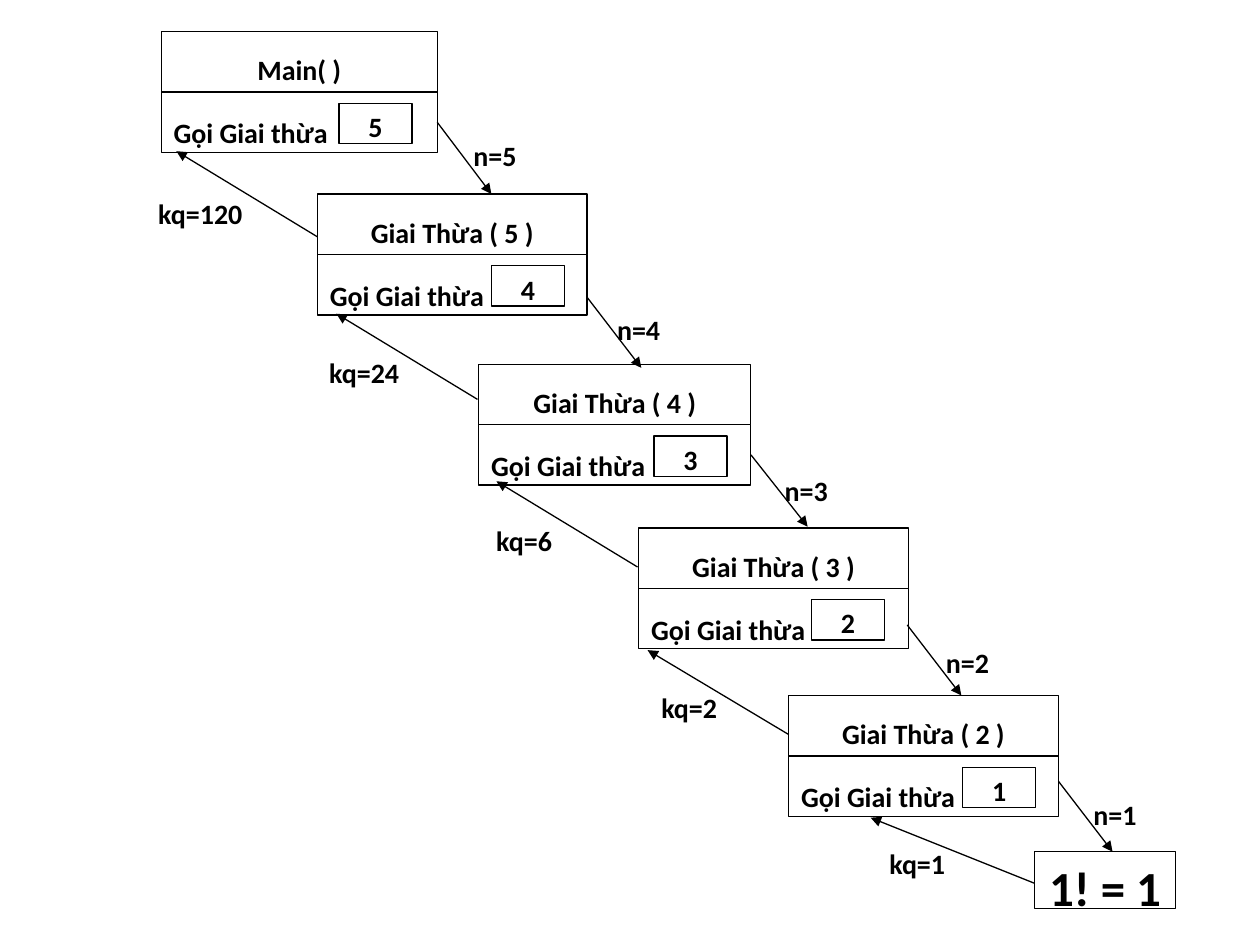
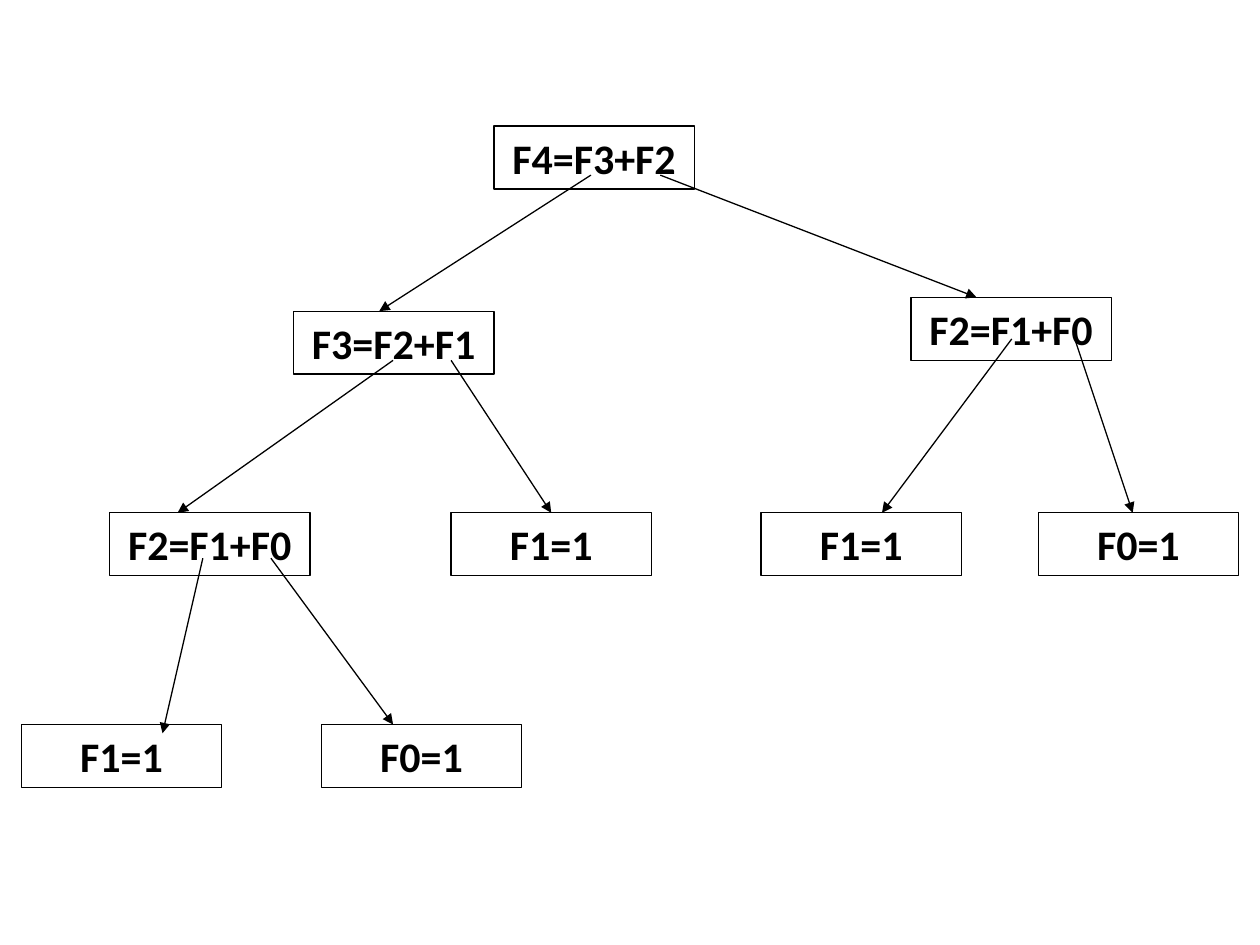
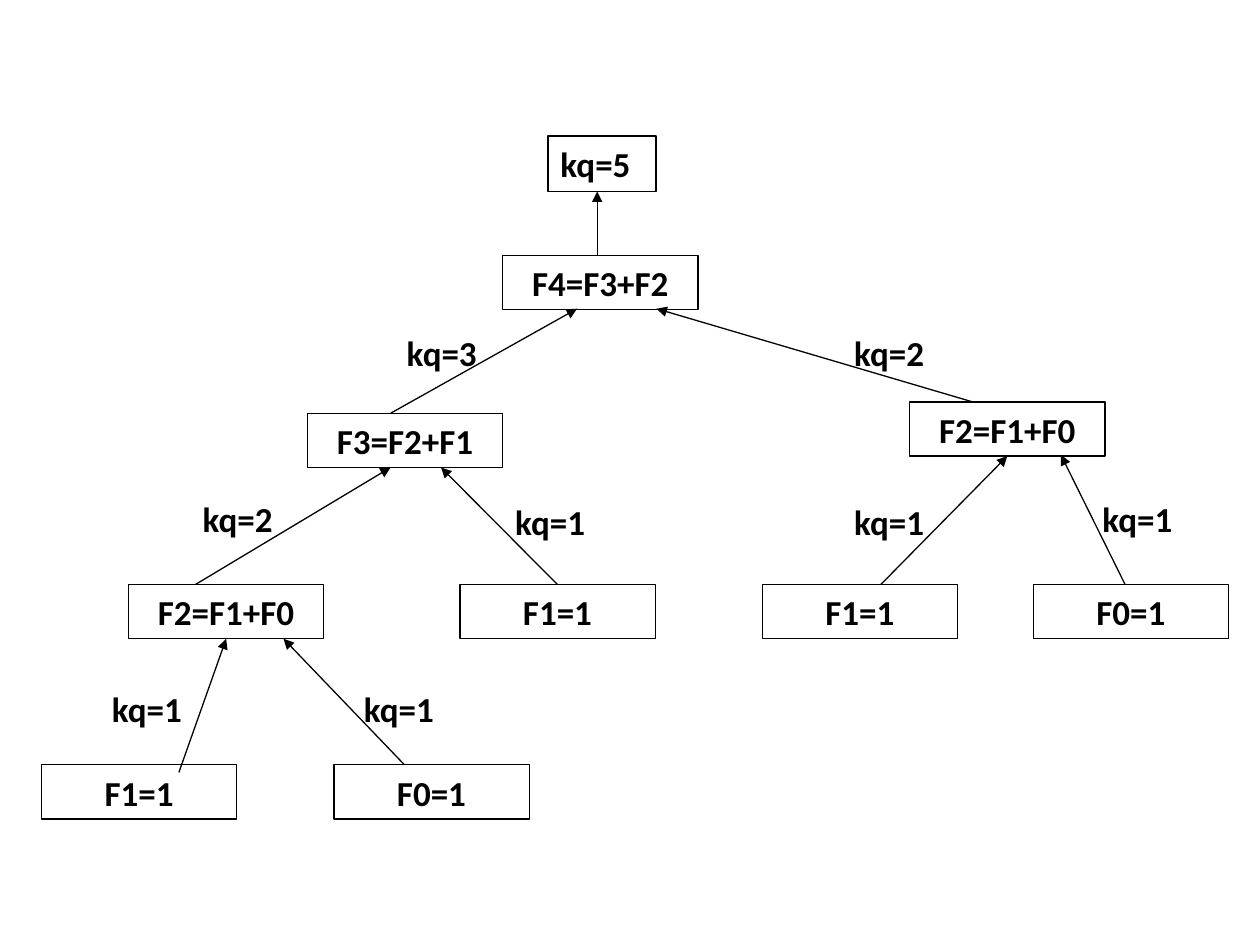
from lxml import etree
from pptx import Presentation
from pptx import util as u
from pptx.dml.color import RGBColor
from pptx.enum import shapes, text
from pptx.oxml import ns

FONT = "Calibri"
INK, PAPER = "000000", "FFFFFF"
CENTER, LEFT = text.PP_ALIGN.CENTER, text.PP_ALIGN.LEFT

# Recursion frames: left, top, width, caption, argument, argument left
FRAMES = [
    (1.28, 0.25, 2.19, "Main( )", "5", 2.69),
    (2.52, 1.54, 2.14, "Giai Thừa ( 5 )", "4", 3.9),
    (3.8, 2.89, 2.16, "Giai Thừa ( 4 )", "3", 5.19),
    (5.07, 4.19, 2.14, "Giai Thừa ( 3 )", "2", 6.44),
    (6.26, 5.52, 2.14, "Giai Thừa ( 2 )", "1", 7.64),
]
FRAME_ROW = 0.48
# Calls and returns: label, label position, arrow start
CALLS = [
    ("n=5", (3.66, 1.05), (3.47, 0.98)),
    ("n=4", (4.8, 2.43), (4.66, 2.36)),
    ("n=3", (6.13, 3.71), (5.98, 3.62)),
    ("n=2", (7.41, 5.07), (7.2, 4.96)),
    ("n=1", (8.58, 6.28), (8.4, 6.2)),
]
RETURNS = [
    ("kq=120", (0.92, 1.51), (2.52, 1.88), (1.4, 1.2)),
    ("kq=24", (2.22, 2.77), (3.79, 3.17), (2.67, 2.49)),
    ("kq=6", (3.49, 4.11), (5.06, 4.5), (3.94, 3.82)),
    ("kq=2", (4.8, 5.43), (6.26, 5.83), (5.14, 5.16)),
    ("kq=1", (6.61, 6.67), (8.21, 7.01), (6.91, 6.49)),
]

# Fibonacci tree, level by level; both trees use these captions
TREE = ["F4=F3+F2", "F3=F2+F1", "F2=F1+F0", "F2=F1+F0", "F1=1",
        "F1=1", "F0=1", "F1=1", "F0=1"]
DOWN_LEFTS = [3.92, 2.33, 7.23, 0.87, 3.58, 6.04, 8.24, 0.17, 2.55]
DOWN_TOPS = [1, 2.47, 2.36] + [4.07] * 4 + [5.75] * 2
DOWN_EDGES = [  # parent end, child end
    ((4.69, 1.39), (3.01, 2.47)), ((5.24, 1.39), (7.75, 2.36)),
    ((3.12, 2.86), (1.41, 4.07)), ((3.58, 2.86), (4.38, 4.07)),
    ((8.03, 2.69), (7, 4.07)), ((8.53, 2.69), (8.99, 4.07)),
    ((1.61, 4.43), (1.29, 5.82)), ((2.15, 4.43), (3.12, 5.75)),
]
UP_LEFTS = [3.99, 2.44, 7.22, 1.02, 3.65, 6.05, 8.2, 0.33, 2.65]
UP_TOPS = [2.03, 3.28, 3.19] + [4.64] * 4 + [6.07] * 2
UP_EDGES = [  # child end, parent end
    ((3.1, 3.28), (4.58, 2.45)), ((7.72, 3.19), (5.21, 2.45)),
    ((1.55, 4.64), (3.1, 3.71)), ((4.44, 4.64), (3.5, 3.71)),
    ((6.99, 4.64), (8, 3.61)), ((8.93, 4.64), (8.42, 3.61)),
    ((1.42, 6.13), (1.8, 5.07)), ((3.21, 6.07), (2.25, 5.07)),
    ((4.74, 2.03), (4.74, 1.52)),
]
UP_RESULTS = [
    ("kq=1", 0.79, 5.41), ("kq=1", 2.79, 5.41), ("kq=1", 3.99, 3.92),
    ("kq=2", 1.51, 3.9), ("kq=1", 8.65, 3.9), ("kq=1", 6.68, 3.92),
    ("kq=2", 6.68, 2.58), ("kq=3", 3.13, 2.58),
]


def color(value):
    return RGBColor.from_string(value)


def inches(*values):
    return [u.Inches(v) for v in values]


def write(sp, caption, size, align, after=0, inset=0.05):
    """Put one bold paragraph at the top of a shape."""
    tf = sp.text_frame
    tf.word_wrap = True
    tf.vertical_anchor = text.MSO_ANCHOR.TOP
    tf.margin_top = u.Inches(inset)
    p = tf.paragraphs[0]
    p.text = caption
    p.alignment = align
    p.space_after = u.Pt(after)
    p.font.name, p.font.size, p.font.bold = FONT, u.Pt(size), True
    p.font.color.rgb = color(INK)


def box(s, at, caption, size, align=CENTER, after=0, inset=0.05,
        filled=True, weight=0.75):
    sp = s.shapes.add_shape(shapes.MSO_SHAPE.RECTANGLE, *inches(*at))
    sp.shadow.inherit = False
    if filled:
        sp.fill.solid()
        sp.fill.fore_color.rgb = color(PAPER)
    else:
        sp.fill.background()
    sp.line.color.rgb = color(INK)
    sp.line.width = u.Pt(weight)
    write(sp, caption, size, align, after, inset)
    return sp


def label(s, at, caption, size, align=LEFT, after=0):
    write(s.shapes.add_textbox(*inches(*at)), caption, size, align, after)


def join(connect, point, boxes):
    """Join a connector end to a box whose side has its middle there."""
    x, y = inches(*point)
    near = u.Inches(0.02)
    for b in boxes:
        mid_x, mid_y = b.left + b.width // 2, b.top + b.height // 2
        sides = [(mid_x, b.top), (b.left, mid_y),
                 (mid_x, b.top + b.height), (b.left + b.width, mid_y)]
        for site, (side_x, side_y) in enumerate(sides):
            if abs(side_x - x) <= near and abs(side_y - y) <= near:
                connect(b, site)
                return


def arrow(s, start, end, boxes):
    line = s.shapes.add_connector(shapes.MSO_CONNECTOR.STRAIGHT,
                                  *inches(*start, *end))
    line.line.color.rgb = color(INK)
    line.line.width = u.Pt(0.75)
    etree.SubElement(line.line._get_or_add_ln(), ns.qn("a:tailEnd"), type="triangle")
    etree.SubElement(line._element.spPr, ns.qn("a:effectLst"))
    join(line.begin_connect, start, boxes)
    join(line.end_connect, end, boxes)


def frame(s, left, top, width, caption, argument, argument_left):
    """Draw a function's heading, its recursive call and the argument."""
    call_top = top + FRAME_ROW
    return [
        box(s, (left, top, width, FRAME_ROW), caption, 16, inset=0.17),
        box(s, (left, call_top, width, FRAME_ROW), "Gọi Giai thừa", 16,
            LEFT, inset=0.19),
        box(s, (argument_left, top + 0.57, 0.58, 0.32), argument, 16),
    ]


def tree(s, lefts, tops, node_size, font_size, edges):
    boxes = [box(s, (left, top, *node_size), caption, font_size, after=10)
             for caption, left, top in zip(TREE, lefts, tops)]
    for start, end in edges:
        arrow(s, start, end, boxes)


def factorial_slide(s):
    boxes = [b for row in FRAMES for b in frame(s, *row)]
    boxes.append(box(s, (8.21, 6.76, 1.12, 0.45), "1! = 1", 28))
    for caption, at, (x, y) in CALLS:
        arrow(s, (x, y), (x + 0.43, y + 0.56), boxes)
        label(s, (*at, 0.67, 0.31), caption, 16)
    for caption, at, start, end in RETURNS:
        arrow(s, start, end, boxes)
        label(s, (*at, 1.34, 0.33), caption, 16, CENTER)


def fibonacci_calls_slide(s):
    tree(s, DOWN_LEFTS, DOWN_TOPS, (1.59, 0.5), 24, DOWN_EDGES)


def fibonacci_results_slide(s):
    tree(s, UP_LEFTS, UP_TOPS, (1.55, 0.43), 20, UP_EDGES)
    for caption, left, top in UP_RESULTS:
        label(s, (left, top, 0.86, 0.44), caption, 20, after=10)
    box(s, (4.35, 1.08, 0.86, 0.44), "kq=5", 20, LEFT, after=10,
        filled=False, weight=1)


def main():
    prs = Presentation()
    prs.slide_width, prs.slide_height = inches(10, 7.5)
    for draw in (factorial_slide, fibonacci_calls_slide, fibonacci_results_slide):
        draw(prs.slides.add_slide(prs.slide_layouts[6]))
    prs.save("out.pptx")


if __name__ == "__main__":
    main()
